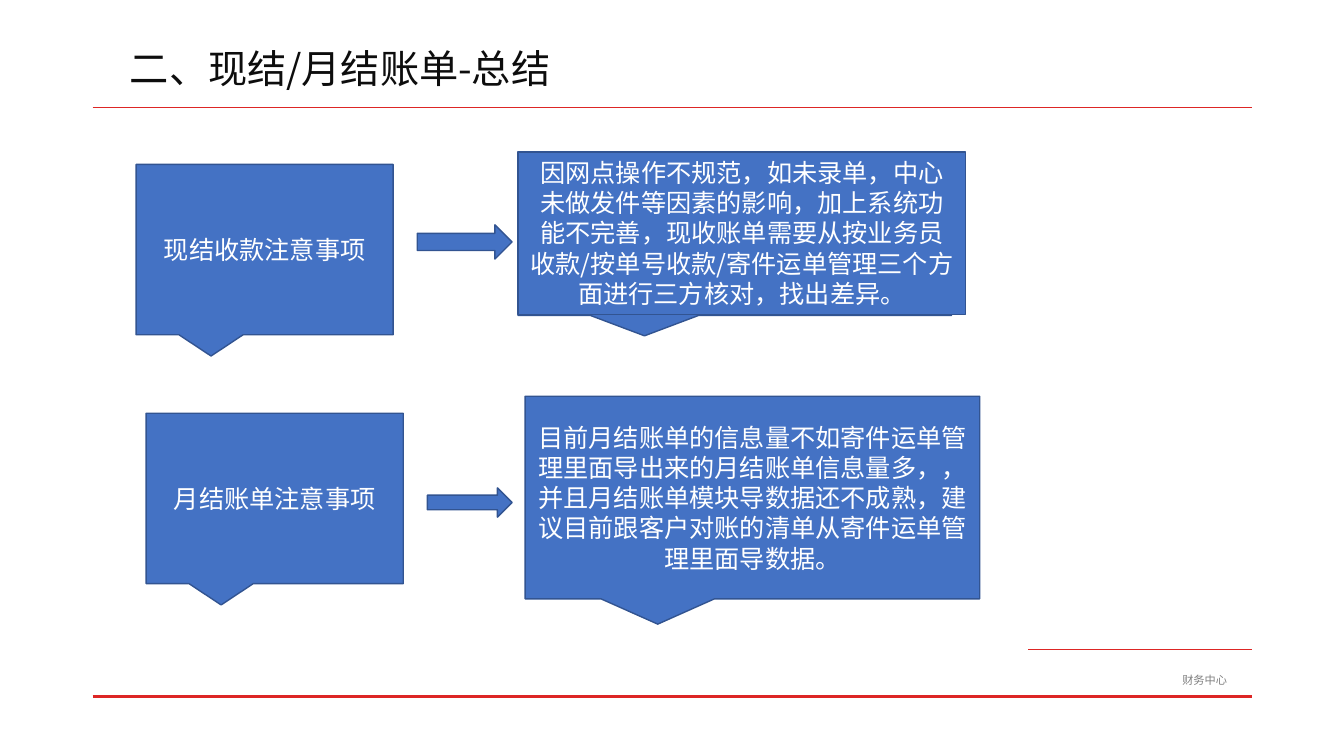
from lxml import etree
from pptx import Presentation
from pptx.dml.color import RGBColor
from pptx.enum.lang import MSO_LANGUAGE_ID
from pptx.enum.shapes import MSO_CONNECTOR, MSO_SHAPE
from pptx.enum.text import MSO_ANCHOR, PP_ALIGN
from pptx.oxml.ns import qn
from pptx.util import Pt

CALLOUT = MSO_SHAPE.RECTANGULAR_CALLOUT
RECTANGLE = MSO_SHAPE.RECTANGLE
ARROW = MSO_SHAPE.RIGHT_ARROW
STRAIGHT = MSO_CONNECTOR.STRAIGHT
CENTER, LEFT = PP_ALIGN.CENTER, PP_ALIGN.LEFT
TOP, MIDDLE = MSO_ANCHOR.TOP, MSO_ANCHOR.MIDDLE
CHINESE = MSO_LANGUAGE_ID.SIMPLIFIED_CHINESE

FONT = "Noto Sans CJK SC"
COLORS = {
    "rule": "DD2625",
    "box": "4472C4",
    "box_edge": "325491",
    "box_text": "FFFFFF",
    "title": "0D0D0D",
    "footer": "808080",
}
RULE_LEFT, RULE_RIGHT = 66.2, 894.2
TOPIC_SIZE = (183.6, 121.7)

CASH_ADVICE = (
    "因网点操作不规范，如未录单，中心未做发件等因素的影响，加上系统功能不完善，"
    "现收账单需要从按业务员收款/按单号收款/寄件运单管理三个方面进行三方核对，找出差异。"
)
MONTHLY_ADVICE = (
    "目前月结账单的信息量不如寄件运单管理里面导出来的月结账单信息量多，，"
    "并且月结账单模块导数据还不成熟，建议目前跟客户对账的清单从寄件运单管理里面导数据。"
)


def color(key):
    return RGBColor.from_string(COLORS[key])


def write(shape, text, size, color_key, align=LEFT, anchor=TOP):
    frame = shape.text_frame
    frame.word_wrap = True
    frame.vertical_anchor = anchor
    paragraph = frame.paragraphs[0]
    paragraph.alignment = align
    run = paragraph.add_run()
    run.text = text
    font = run.font
    font.size = Pt(size)
    font.name = FONT
    font.language_id = CHINESE
    font.color.rgb = color(color_key)
    east_asian = etree.Element(qn("a:ea"), typeface=FONT)
    run._r.rPr.find(qn("a:latin")).addnext(east_asian)


def add_label(slide, left, top, width, height, text, size, color_key):
    label = slide.shapes.add_textbox(Pt(left), Pt(top), Pt(width), Pt(height))
    write(label, text, size, color_key)


def add_box(slide, kind, left, top, width, height, text="", anchor=MIDDLE):
    box = slide.shapes.add_shape(kind, Pt(left), Pt(top), Pt(width), Pt(height))
    box.shadow.inherit = False
    box.fill.solid()
    box.fill.fore_color.rgb = color("box")
    box.line.color.rgb = color("box_edge")
    box.line.width = Pt(1)
    if text:
        write(box, text, 18, "box_text", CENTER, anchor)


def add_rule(slide, left, y, weight):
    rule = slide.shapes.add_connector(STRAIGHT, Pt(left), Pt(y), Pt(RULE_RIGHT), Pt(y))
    rule.line.color.rgb = color("rule")
    rule.line.width = Pt(weight)
    etree.SubElement(rule._element.spPr, qn("a:effectLst"))


def main():
    deck = Presentation()
    deck.slide_width, deck.slide_height = Pt(960), Pt(540)
    slide = deck.slides.add_slide(deck.slide_layouts[6])

    add_rule(slide, RULE_LEFT, 77, 1)
    add_rule(slide, 734.4, 463.7, 0.5)
    add_rule(slide, RULE_LEFT, 497.5, 1.5)
    add_label(slide, 837.4, 477.4, 82, 17.3, "财务中心", 8, "footer")
    add_label(slide, 85.7, 28.1, 614, 41, "二、现结/月结账单-总结", 28, "title")

    add_box(slide, CALLOUT, 370.1, 108.7, 309.6, 116.6)
    add_box(slide, RECTANGLE, 370.1, 108.7, 319.7, 115.9, CASH_ADVICE, TOP)
    add_box(slide, CALLOUT, 375.1, 283, 324.7, 144.7, MONTHLY_ADVICE)
    add_box(slide, CALLOUT, 97.2, 117.4, *TOPIC_SIZE, "现结收款注意事项")
    add_box(slide, CALLOUT, 104.4, 295.2, *TOPIC_SIZE, "月结账单注意事项")
    add_box(slide, ARROW, 298.1, 160.6, 67.7, 24.5)
    add_box(slide, ARROW, 305.3, 348.5, 60.5, 20.9)

    deck.save("out.pptx")


if __name__ == "__main__":
    main()
